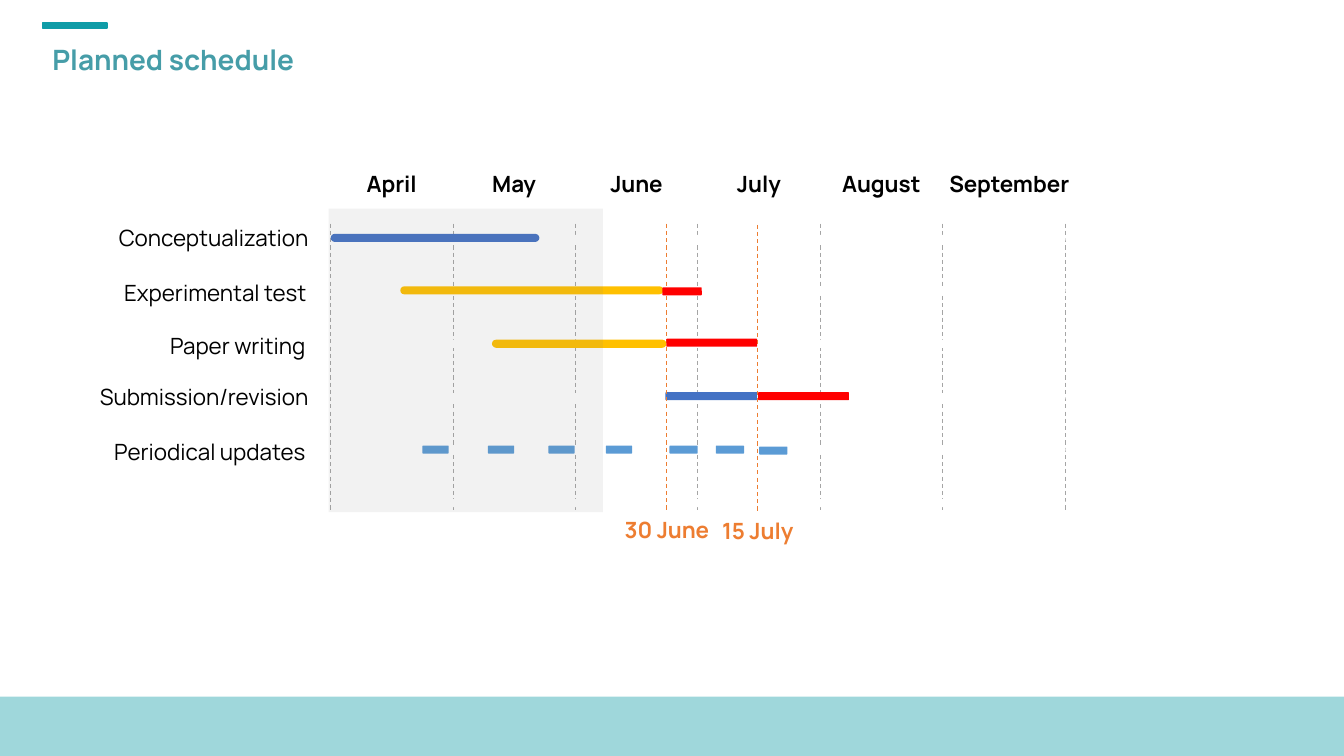
from pptx import Presentation
from pptx.util import Inches, Pt
from pptx.dml.color import RGBColor
from pptx.enum import dml, shapes, text
from pptx.oxml import parse_xml
from pptx.oxml.ns import nsdecls, qn

TEAL = RGBColor(0x0F, 0x9C, 0xA7)
TITLE = RGBColor(0x46, 0x9D, 0xA8)
BLACK = RGBColor(0, 0, 0)
WHITE = RGBColor(0xFF, 0xFF, 0xFF)
GRID = RGBColor(0xA5, 0xA5, 0xA5)
SHADE = RGBColor(0x80, 0x80, 0x80)
BLUE = RGBColor(0x44, 0x72, 0xC4)
LIGHT = RGBColor(0x5B, 0x9B, 0xD5)
GOLD = RGBColor(0xFF, 0xC0, 0x00)
RED = RGBColor(0xFF, 0, 0)
ORANGE = RGBColor(0xED, 0x7D, 0x31)

LEFT, STEP, WIDE, THICK = 3.28, 1.214, 7.29, 0.08
MONTHS = ["April", "May", "June", "July", "August", "September"]
TASKS = [
    ("Conceptualization", 2.22, 3.06, 1),
    ("Experimental test", 2.74, 3.04, 1.15),
    ("Paper writing", 3.27, 3.03, 1.15),
    ("Submission/revision", 3.79, 3.06, 1),
    ("Periodical updates", 4.32, 3.03, 1.15),
]
ROWS = [2.33, 2.84, 3.37, 3.9, 4.42, 4.95]
PLANS = [
    (3.28, 2.32, 2.07, BLUE, 0.5),
    (3.97, 2.84, 2.61, GOLD, 0.5),
    (4.88, 3.37, 1.73, GOLD, 0.5),
    (6.6, 3.89, 0.91, BLUE, 0.1),
]
DELAYS = [(6.61, 3.36, 0.9), (6.57, 2.85, 0.39), (7.52, 3.89, 0.9)]
UPDATES = [(4.19, 0.26), (4.84, 0.26), (5.44, 0.26), (6.01, 0.26), (6.64, 0.28)]
LATE = [(7.1, 4.42), (7.53, 4.43)]
DATES = [("30 June", 6.61, 2.22), ("15 July", 7.51, 2.23)]


def write(slide, words, x, y, w, h, size=16, color=BLACK, bold=False,
          align=text.PP_ALIGN.CENTER, anchor=text.MSO_ANCHOR.TOP,
          space=1, after=0, inset=0):
    frame = slide.shapes.add_textbox(Inches(x), Inches(y), Inches(w), Inches(h)).text_frame
    frame.word_wrap = True
    frame.vertical_anchor = anchor
    frame.margin_left = frame.margin_right = Inches(inset)
    frame.margin_top = frame.margin_bottom = Inches(inset / 2)
    line = frame.paragraphs[0]
    line.alignment = align
    line.line_spacing = space
    line.space_after = Pt(after)
    run = line.add_run()
    run.text = words
    run.font.name = "Manrope"
    run.font.size = Pt(size)
    run.font.bold = bold
    run.font.color.rgb = color


def block(slide, x, y, w, h, color, alpha=100, kind=shapes.MSO_SHAPE.RECTANGLE):
    shape = slide.shapes.add_shape(kind, Inches(x), Inches(y), Inches(w), Inches(h))
    shape.shadow.inherit = False
    shape.fill.solid()
    shape.fill.fore_color.rgb = color
    shape.line.fill.background()
    if alpha < 100:
        tint = shape.fill._xPr.find(qn("a:solidFill"))[0]
        tint.append(parse_xml(f'<a:alpha {nsdecls("a")} val="{alpha * 1000}"/>'))
    return shape


def bar(slide, x, y, w, color, curve=0.1):
    shape = block(slide, x, y, w, THICK, color, kind=shapes.MSO_SHAPE.ROUNDED_RECTANGLE)
    shape.adjustments[0] = curve


def rule(slide, x, y, color):
    line = slide.shapes.add_connector(
        shapes.MSO_CONNECTOR.STRAIGHT, Inches(x), Inches(y), Inches(x), Inches(y + 2.86))
    line.line.color.rgb = color
    line.line.width = Pt(0.75)
    line.line.dash_style = dml.MSO_LINE.DASH
    line._element.spPr.append(parse_xml(f'<a:effectLst {nsdecls("a")}/>'))


def main():
    deck = Presentation()
    deck.slide_width, deck.slide_height = Inches(13.33), Inches(7.5)
    slide = deck.slides.add_slide(deck.slide_layouts[6])

    accent = block(slide, 0.42, 0.23, 0.64, 0.05, TEAL)
    accent.line.color.rgb = TEAL
    accent.line.width = Pt(1)
    block(slide, 0, 6.91, 13.33, 0.59, TEAL, alpha=40)
    write(slide, "Planned schedule", 0.42, 0.4, 12.48, 0.41, size=20, color=TITLE,
          bold=True, align=text.PP_ALIGN.LEFT, anchor=text.MSO_ANCHOR.MIDDLE,
          space=0.9, inset=0.1)

    for i in range(len(MONTHS) + 1):
        rule(slide, LEFT + i * STEP, 2.22, GRID)
    for i, month in enumerate(MONTHS):
        width = 1.32 if month == "September" else 1.21
        write(slide, month, LEFT + i * STEP, 1.69, width, 0.25, bold=True, after=16)
    for task, y, right, space in TASKS:
        write(slide, task, right - 2.1, y, 2.1, 0.28, align=text.PP_ALIGN.RIGHT,
              anchor=text.MSO_ANCHOR.MIDDLE, space=space)

    for y in ROWS:
        bar(slide, LEFT, y, WIDE, WHITE, curve=0.5)
    for x, y, w, color, curve in PLANS:
        bar(slide, x, y, w, color, curve)
    for x, w in UPDATES:
        bar(slide, x, 4.42, w, LIGHT)
    for date, x, y in DATES:
        rule(slide, x, y, ORANGE)
        write(slide, date, x - 0.6, y + 2.9, 1.21, 0.89, color=ORANGE, bold=True, after=16)
    block(slide, 3.26, 2.07, 2.72, 3.01, SHADE, alpha=10)
    for x, y, w in DELAYS:
        bar(slide, x, y, w, RED)
    for x, y in LATE:
        bar(slide, x, y, 0.28, LIGHT)

    deck.save("out.pptx")


if __name__ == "__main__":
    main()
